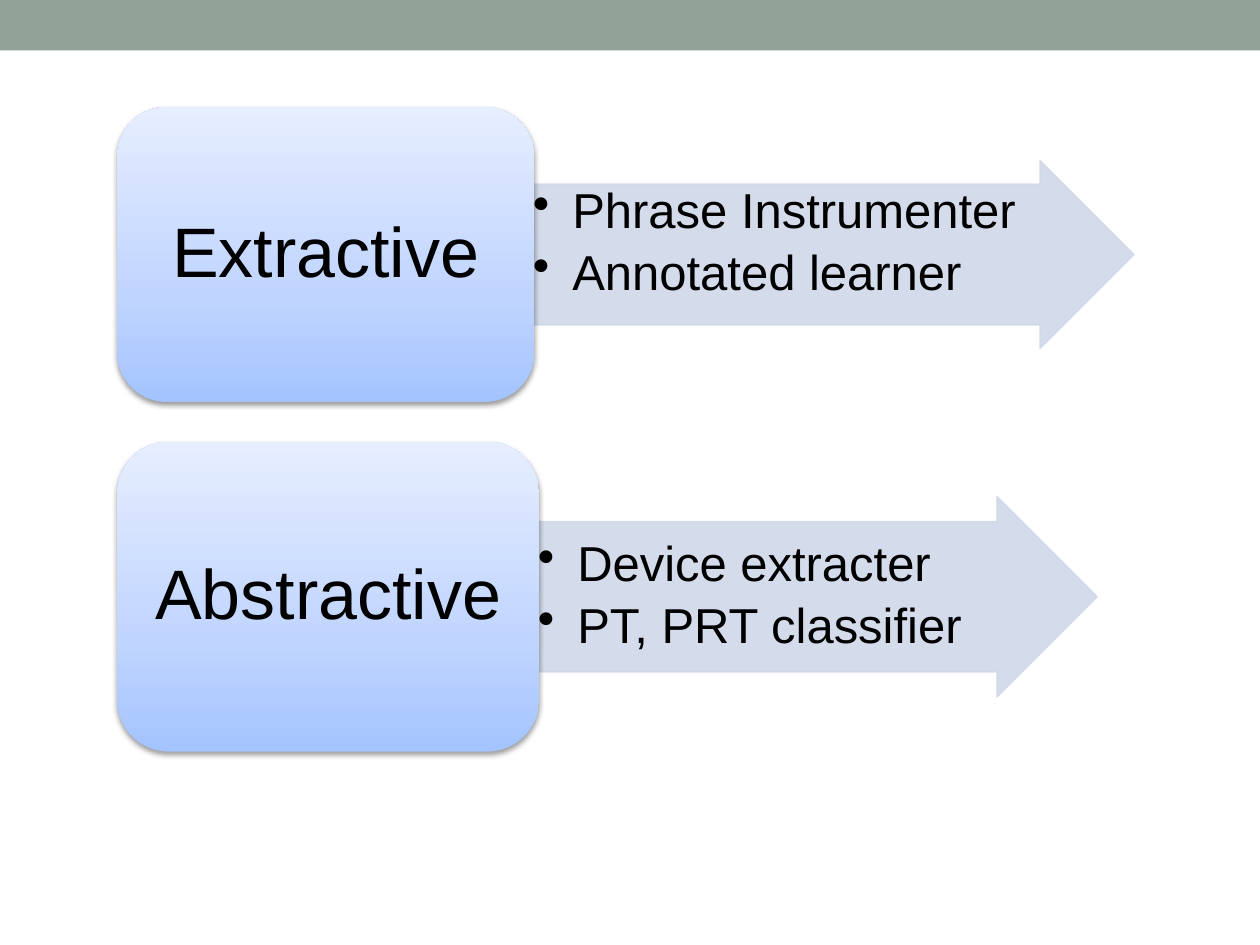
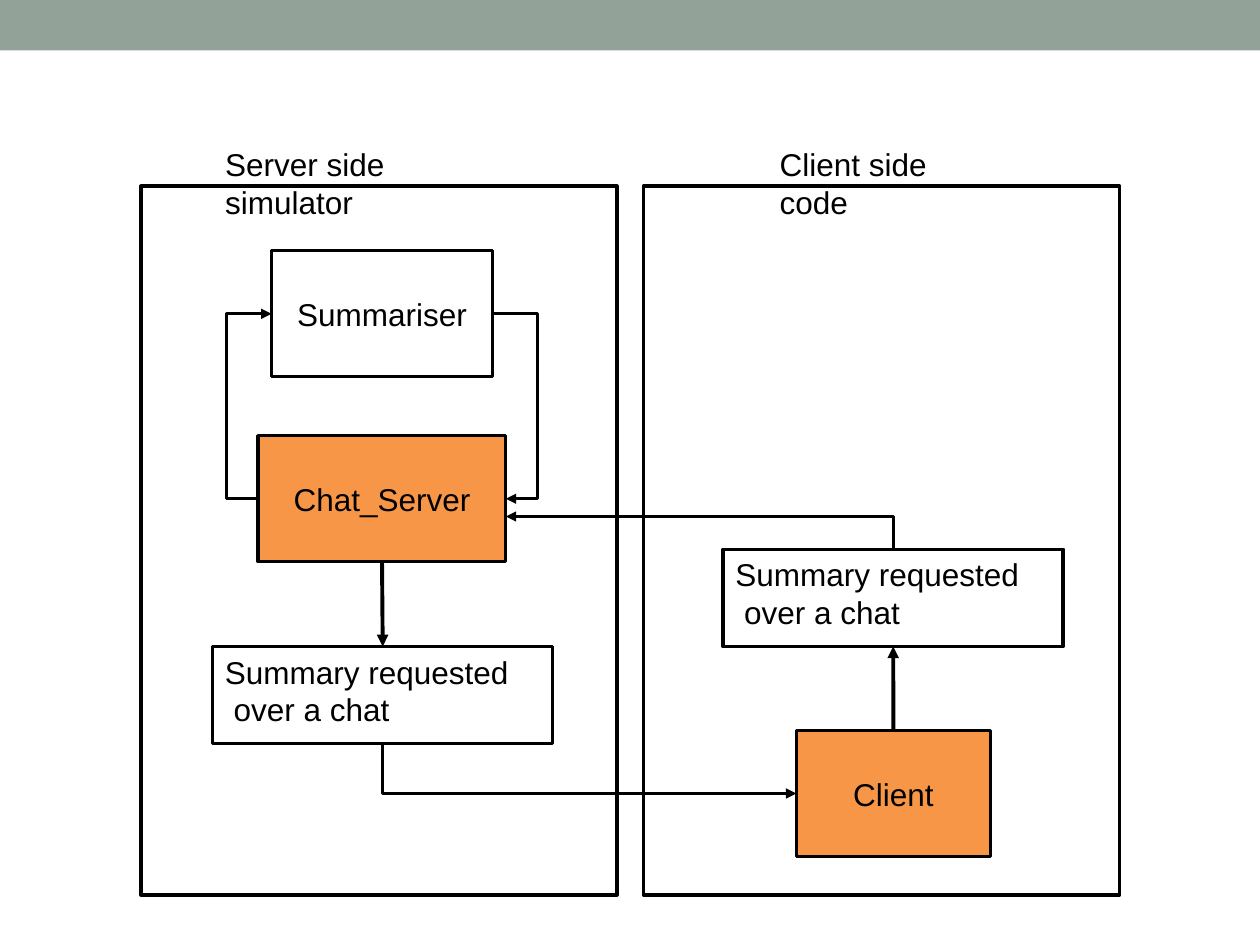
from copy import deepcopy

from lxml.etree import SubElement
from pptx import Presentation
from pptx.dml.color import RGBColor
from pptx.enum.shapes import MSO_CONNECTOR as Link, MSO_SHAPE as Kind
from pptx.enum.text import MSO_ANCHOR as Anchor, PP_ALIGN as Align
from pptx.oxml.ns import qn
from pptx.util import Pt

SAGE = RGBColor(0x93, 0xA2, 0x99)
BLACK = RGBColor(0, 0, 0)
WHITE = RGBColor(255, 255, 255)
ORANGE = RGBColor(0xF7, 0x96, 0x46)
MIST = RGBColor(0xD0, 0xD8, 0xE8)
BLUES = (
    (0, RGBColor(0xA4, 0xC4, 0xFF)),
    (0.35, RGBColor(0xBF, 0xD4, 0xFF)),
    (1, RGBColor(0xE6, 0xEE, 0xFF)),
)
FONT = "Arial"
TOP, LEFT, BOTTOM, RIGHT = range(4)
REACH = Pt(18)


def add_shape(slide, kind, box, fill=None, line=None, width=2):
    """Add a flat preset shape in a box of points."""
    shape = slide.shapes.add_shape(kind, *map(Pt, box))
    shape.shadow.inherit = False
    if fill is not None:
        shape.fill.solid()
        shape.fill.fore_color.rgb = fill
    if line is None:
        shape.line.fill.background()
    else:
        shape.line.color.rgb = line
        shape.line.width = Pt(width)
    return shape


def write(shape, lines, size, align=Align.LEFT, anchor=Anchor.TOP, wrap=True):
    """Fill a shape with one paragraph per line."""
    frame = shape.text_frame
    frame.word_wrap = wrap
    frame.vertical_anchor = anchor
    frame.text = "\n".join(lines)
    for para in frame.paragraphs:
        para.alignment = align
        para.font.name = FONT
        para.font.size = Pt(size)
        para.font.color.rgb = BLACK
    return frame


def inset(frame, side, end):
    """Set the side and end margins of a text frame."""
    frame.margin_left = frame.margin_right = Pt(side)
    frame.margin_top = frame.margin_bottom = Pt(end)


def add_slide(deck):
    """Add a blank slide with the top band."""
    slide = deck.slides.add_slide(deck.slide_layouts[6])
    add_shape(slide, Kind.RECTANGLE, (0, 0, 720, 28.8), SAGE)
    return slide


def fade(color):
    """Make a solid colour 90% opaque."""
    SubElement(color, qn("a:alpha"), val="90000")


def add_arrow(slide, box, lines, anchor):
    """Draw a pale block arrow with a bullet list."""
    arrow = add_shape(slide, Kind.RIGHT_ARROW, box, MIST, MIST, 0.75)
    arrow.adjustments[0] = 0.75
    for color in arrow._element.spPr.iter(qn("a:srgbClr")):
        fade(color)
    frame = write(arrow, lines, 28, anchor=anchor)
    inset(frame, 1.4, 1.4)
    for para in frame.paragraphs:
        para.line_spacing = 0.9
        para.space_after = Pt(5)
        props = para._p.get_or_add_pPr()
        props.set("marL", str(Pt(22.5)))
        props.set("indent", str(-Pt(22.5)))
        bullet = SubElement(props, qn("a:buChar"), char="•")
        props.find(qn("a:defRPr")).addprevious(bullet)


def add_card(slide, box, label):
    """Draw a rounded card with a blue gradient and soft shadow."""
    card = add_shape(slide, Kind.ROUNDED_RECTANGLE, box)
    card.fill.gradient()
    card.fill.gradient_angle = 90
    stops = card._element.spPr.find(qn("a:gradFill")).find(qn("a:gsLst"))
    stops.append(deepcopy(stops[0]))
    for stop, (place, color) in zip(card.fill.gradient_stops, BLUES):
        stop.position = place
        stop.color.rgb = color
    glow = SubElement(
        card._element.spPr.find(qn("a:effectLst")), qn("a:outerShdw"),
        blurRad=str(Pt(3.1)), dist=str(Pt(1.6)), dir="5400000", rotWithShape="0")
    tint = SubElement(glow, qn("a:srgbClr"), val=str(BLACK))
    SubElement(tint, qn("a:alpha"), val="38000")
    frame = write(card, [label], 40, Align.CENTER, Anchor.MIDDLE)
    inset(frame, 12, 6)
    frame.paragraphs[0].line_spacing = 0.9


def add_row(slide, box, split, head, label, lines, anchor):
    """Place a card and, right of it, an arrow of the given height."""
    left, top, width, height = box
    mid = top + height / 2
    add_arrow(slide, (left + split, mid - head / 2, width - split, head),
              lines, anchor)
    add_card(slide, (left, top, split + 2, height), label)


def add_types(deck):
    """Build the slide of the two summary types."""
    slide = add_slide(deck)
    add_row(slide, (67, 61.2, 581, 168.5), 236.2, 107.3, "Extractive",
            ["Phrase Instrumenter", "Annotated learner"], Anchor.TOP)
    add_row(slide, (67, 252.5, 560, 177), 239, 114.5, "Abstractive",
            ["Device extracter", "PT, PRT classifier"], Anchor.MIDDLE)


def site(shape, side):
    """Return the middle of one side of a shape."""
    across = (0.5, 0, 0.5, 1)[side]
    down = (0, 0.5, 1, 0.5)[side]
    return (int(shape.left + across * shape.width),
            int(shape.top + down * shape.height))


def add_link(slide, kind, start, end, width):
    """Draw a black connector with an arrowhead at its end."""
    link = slide.shapes.add_connector(kind, *start, *end)
    link.line.color.rgb = BLACK
    link.line.width = Pt(width)
    SubElement(link.line._get_or_add_ln(), qn("a:tailEnd"), type="triangle")
    SubElement(link._element.spPr, qn("a:effectLst"))
    return link


def join(slide, kind, first, out, last, into, width):
    """Link the side middles of two shapes."""
    link = add_link(slide, kind, site(first, out), site(last, into), width)
    link.begin_connect(first, out)
    link.end_connect(last, into)
    return link


def guide(link, value):
    """Set the bend of an elbow as a share of its width."""
    values = link._element.spPr.find(qn("a:prstGeom")).get_or_add_avLst()
    SubElement(values, qn("a:gd"), name="adj1",
               fmla=f"val {round(value * 100000)}")


def loop(slide, first, last, side):
    """Link the same side of two shapes around the outside."""
    link = join(slide, Link.ELBOW, first, side, last, side, 1.75)
    span = link.width
    if side == LEFT:
        guide(link, -REACH / span)
        frame = link._element.spPr.find(qn("a:xfrm"))
        frame.attrib.pop("flipV", None)
        frame.set("rot", "10800000")
        frame.set("flipH", "1")
    else:
        guide(link, 1 + REACH / span)


def turn(slide, first, out, end, flip, last=None):
    """Link up or down from a shape, then sideways to a point."""
    start = site(first, out)
    link = add_link(slide, Link.ELBOW, start, end, 1.75)
    link.begin_connect(first, out)
    if last is not None:
        link.end_connect(last, LEFT)
    wide, high = abs(end[0] - start[0]), abs(end[1] - start[1])
    link.left = (start[0] + end[0] - high) // 2
    link.top = (start[1] + end[1] - wide) // 2
    link.width, link.height = high, wide
    props = link._element.spPr
    props.find(qn("a:prstGeom")).set("prst", "bentConnector2")
    frame = props.find(qn("a:xfrm"))
    for name in ("flipH", "flipV"):
        frame.attrib.pop(name, None)
    frame.set("rot", "16200000")
    frame.set(flip, "1")


def add_panel(slide, box, title, shift):
    """Draw a framed side with its title above."""
    left, top, width, height = box
    add_shape(slide, Kind.RECTANGLE, box, WHITE, BLACK)
    label = slide.shapes.add_textbox(
        Pt(left + shift), Pt(top - 27.2), Pt(width / 2), Pt(29))
    write(label, [title], 18, wrap=False)


def add_node(slide, box, label, fill):
    """Draw a box with a centred label."""
    node = add_shape(slide, Kind.RECTANGLE, box, fill, BLACK)
    write(node, [label], 18, Align.CENTER, Anchor.MIDDLE)
    return node


def add_note(slide, left, top):
    """Draw a summary request box."""
    note = add_shape(slide, Kind.RECTANGLE, (left, top, 194.4, 55.5),
                     WHITE, BLACK)
    write(note, ["Summary requested", " over a chat"], 18)
    return note


def add_server(slide, box):
    """Draw the server side and return its server and request boxes."""
    left, top = box[:2]
    add_panel(slide, box, "Server side simulator", 41)
    chat = add_node(slide, (left + 67, top + 142.6, 141.4, 72),
                    "Chat_Server", ORANGE)
    digest = add_node(slide, (left + 74.5, top + 36.9, 126.4, 72),
                      "Summariser", WHITE)
    note = add_note(slide, left + 40.9, top + 263)
    loop(slide, chat, digest, LEFT)
    loop(slide, digest, chat, RIGHT)
    join(slide, Link.STRAIGHT, chat, BOTTOM, note, TOP, 2.25)
    return chat, note


def add_client(slide, box):
    """Draw the client side and return its client and request boxes."""
    left, top = box[:2]
    add_panel(slide, box, "Client side code", 70.8)
    client = add_node(slide, (left + 87.4, top + 311, 110.9, 72),
                      "Client", ORANGE)
    note = add_note(slide, left + 45.5, top + 207.5)
    join(slide, Link.STRAIGHT, client, TOP, note, BOTTOM, 2.25)
    return client, note


def add_flow(deck):
    """Build the slide of the chat between server and client."""
    slide = add_slide(deck)
    client, ask = add_client(slide, (367.7, 106.4, 272, 405))
    chat, reply = add_server(slide, (80.6, 106.4, 272, 405))
    edge, mid = site(chat, RIGHT)
    turn(slide, ask, TOP, (edge, mid + Pt(10.2)), "flipV")
    turn(slide, reply, BOTTOM, site(client, LEFT), "flipH", client)


def main():
    """Build and save the deck."""
    deck = Presentation()
    deck.slide_width, deck.slide_height = Pt(720), Pt(540)
    add_types(deck)
    add_flow(deck)
    deck.save("out.pptx")


if __name__ == "__main__":
    main()
